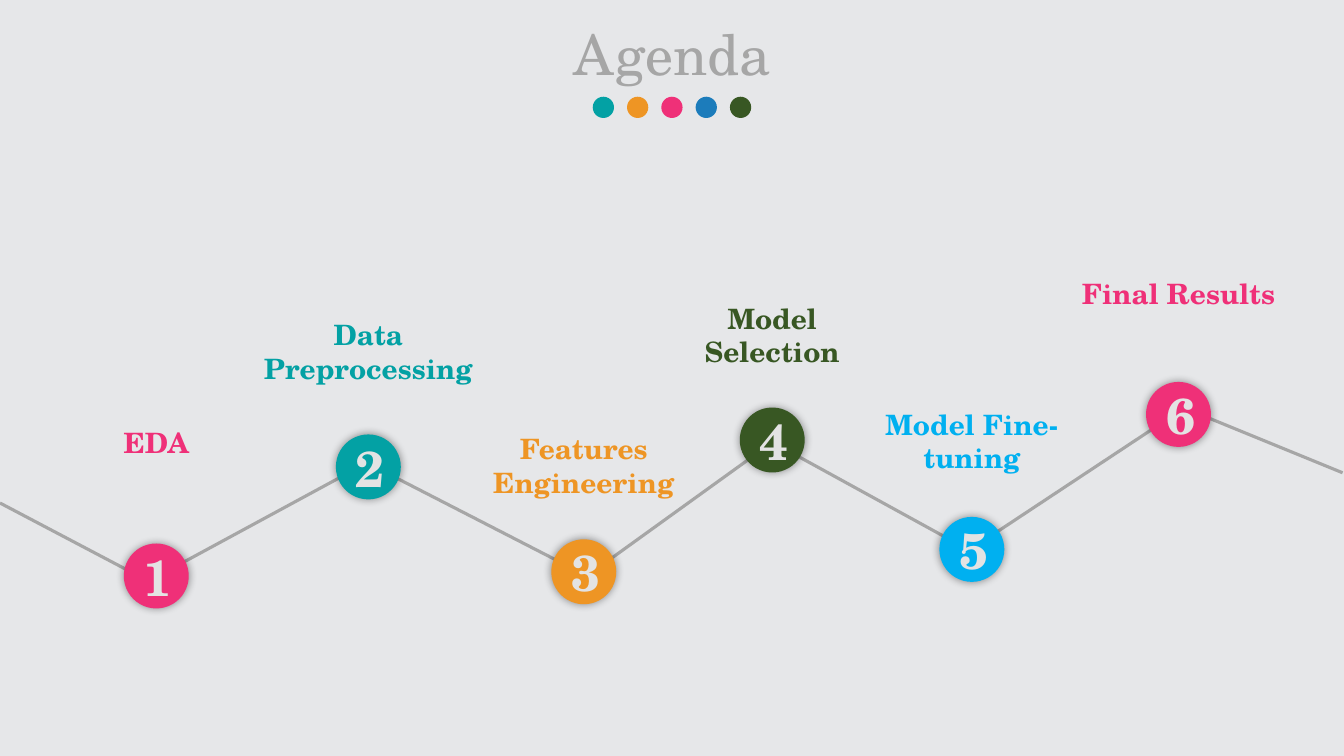
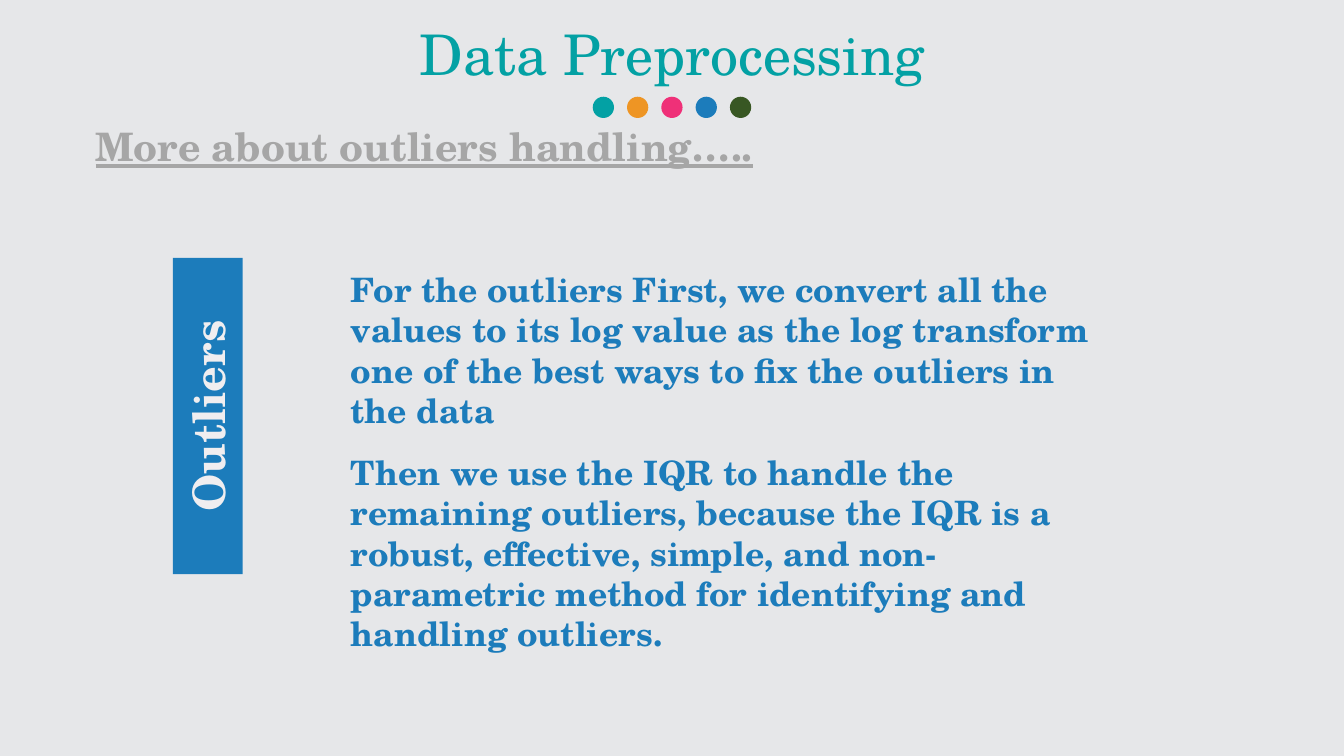
import dataclasses

import pptx
import pptx.dml.color
import pptx.enum.shapes
import pptx.enum.text
import pptx.oxml
import pptx.oxml.ns
import pptx.util

Pt = pptx.util.Pt
Align = pptx.enum.text.PP_ALIGN
Shape = pptx.enum.shapes.MSO_SHAPE


@dataclasses.dataclass(frozen=True)
class Theme:
    # Colours
    background: str = "E6E7E9"
    teal: str = "03A1A4"
    orange: str = "EE9524"
    pink: str = "EF3078"
    blue: str = "1C7CBB"
    green: str = "385723"
    sky: str = "00B0F0"
    grey: str = "A6A6A6"
    number: str = "E3E3E3"
    bar_text: str = "F0EEF0"
    # Type
    font: str = "TeX Gyre Schola"
    title: int = 40
    node: int = 36
    bar: int = 32
    heading: int = 28
    body: int = 24
    label: int = 20


THEME = Theme()
WIDTH, HEIGHT = 960, 540
NODE_SIZE = 46.4
LABEL_WIDTH = 168

# Label, colour, centre of the node, top of the label
STEPS = [
    ("EDA", THEME.pink, 111.6, 411.4, 300.2),
    ("Data Preprocessing", THEME.teal, 263.1, 333.5, 223.2),
    ("Features Engineering", THEME.orange, 417, 408.4, 304.6),
    ("Model Selection", THEME.green, 551.6, 314.3, 211.7),
    ("Model Fine-tuning", THEME.sky, 694.2, 392.4, 287.3),
    ("Final Results", THEME.pink, 841.8, 296, 193.7),
]

# Ends of the road's stretches, tucked under the nodes
ROAD = [
    (0, 359.3, 106.6, 415.4),
    (117.4, 409, 257, 333.4),
    (280, 339.8, 414.7, 409),
    (422.6, 409, 546.5, 319.7),
    (549.4, 314.6, 691.2, 392.4),
    (704.2, 385.2, 835.9, 298.1),
    (856.8, 295.9, 959, 337.7),
]

OUTLIER_NOTES = [
    "For the outliers First, we convert all the values to its log value as "
    "the log transform one of the best ways to fix the outliers in the data",
    "Then we use the IQR to handle the remaining outliers, because the IQR is "
    "a robust, effective, simple, and non-parametric method for identifying "
    "and handling outliers.",
]


def rgb(colour):
    return pptx.dml.color.RGBColor.from_string(colour)


def place(item, left, top, width, height):
    item.left, item.top = Pt(left), Pt(top)
    item.width, item.height = Pt(width), Pt(height)


def style(para, text, size, colour, bold=True, align=Align.CENTER):
    para.text = text
    para.alignment = align
    for span in para.runs:
        span.font.name = THEME.font
        span.font.size = Pt(size)
        span.font.bold = bold
        span.font.color.rgb = rgb(colour)


def add_solid(page, kind, left, top, width, height, colour):
    shape = page.shapes.add_shape(kind, Pt(left), Pt(top), Pt(width), Pt(height))
    shape.shadow.inherit = False
    shape.fill.solid()
    shape.fill.fore_color.rgb = rgb(colour)
    shape.line.fill.background()
    return shape


def add_text(page, left, top, width, height, text, size, colour, align=Align.CENTER):
    box = page.shapes.add_textbox(Pt(left), Pt(top), Pt(width), Pt(height))
    box.text_frame.word_wrap = True
    para = box.text_frame.paragraphs[0]
    style(para, text, size, colour, align=align)
    return para


def add_page(deck, layout, title, colour):
    page = deck.slides.add_slide(layout)
    heading = page.shapes.title
    place(heading, 193.7, 10, 573, 55.4)
    heading.text_frame.auto_size = pptx.enum.text.MSO_AUTO_SIZE.NONE
    style(heading.text_frame.paragraphs[0], title, THEME.title, colour, bold=False)

    # Row of dots, centred under the title
    dots = [THEME.teal, THEME.orange, THEME.pink, THEME.blue, THEME.green]
    size, pitch = 15.2, 24.5
    first = (WIDTH - size - pitch * (len(dots) - 1)) / 2
    for index, dot in enumerate(dots):
        add_solid(page, Shape.OVAL, first + index * pitch, 69.1, size, size, dot)
    return page


def add_road(page, x1, y1, x2, y2):
    line = page.shapes.add_connector(
        pptx.enum.shapes.MSO_CONNECTOR.STRAIGHT, Pt(x1), Pt(y1), Pt(x2), Pt(y2))
    line.line.color.rgb = rgb(THEME.grey)
    line.line.width = Pt(2.25)
    properties = line._element.spPr
    properties.append(pptx.oxml.parse_xml(
        f"<a:effectLst {pptx.oxml.ns.nsdecls('a')}/>"))


def add_glow(shape):
    effects = shape._element.spPr.find(pptx.oxml.ns.qn("a:effectLst"))
    effects.append(pptx.oxml.parse_xml(
        f'<a:outerShdw {pptx.oxml.ns.nsdecls("a")} blurRad="{Pt(6)}" '
        'algn="ctr" rotWithShape="0"><a:srgbClr val="000000">'
        '<a:alpha val="40000"/></a:srgbClr></a:outerShdw>'))


def add_step(page, number, label, colour, x, y, label_top):
    node = add_solid(page, Shape.OVAL, x - NODE_SIZE / 2, y - NODE_SIZE / 2,
                     NODE_SIZE, NODE_SIZE, colour)
    add_glow(node)
    frame = node.text_frame
    frame.margin_left = Pt(3)
    frame.margin_right = frame.margin_top = frame.margin_bottom = 0
    style(frame.paragraphs[0], str(number), THEME.node, THEME.number)
    add_text(page, x - LABEL_WIDTH / 2, label_top, LABEL_WIDTH, 31.5,
             label, THEME.label, colour)


def fill_body(body, texts):
    place(body, 243.4, 188.6, 543, 255)
    frame = body.text_frame
    frame.auto_size = pptx.enum.text.MSO_AUTO_SIZE.NONE
    frame.vertical_anchor = pptx.enum.text.MSO_ANCHOR.TOP
    frame.text = "\n".join(texts)
    for index, (para, text) in enumerate(zip(frame.paragraphs, texts)):
        style(para, text, THEME.body, THEME.blue, align=Align.LEFT)
        para.space_before = Pt(15.5 if index else 0)
        # Plain paragraphs: no bullet, no hanging indent
        properties = para._p.get_or_add_pPr()
        properties.set("marL", "0")
        properties.set("indent", "0")
        properties.append(pptx.oxml.parse_xml(
            f"<a:buNone {pptx.oxml.ns.nsdecls('a')}/>"))


def build_agenda(deck):
    page = add_page(deck, deck.slide_layouts[5], "Agenda", THEME.grey)
    for stretch in ROAD:
        add_road(page, *stretch)
    for number, step in enumerate(STEPS, start=1):
        add_step(page, number, *step)


def build_outliers(deck):
    page = add_page(deck, deck.slide_layouts[1], "Data Preprocessing", THEME.teal)
    subtitle = add_text(page, 61.2, 67, 840, 52.6, "More about outliers handling…..",
                        THEME.heading, THEME.grey, Align.LEFT)
    subtitle.line_spacing = 1.5
    subtitle.runs[0].font.underline = True

    # Upright bar
    bar = add_solid(page, Shape.RECTANGLE, 35.4, 272.2, 226, 49.8, THEME.blue)
    bar.rotation = 270
    style(bar.text_frame.paragraphs[0], "Outliers", THEME.bar, THEME.bar_text)

    fill_body(page.placeholders[1], OUTLIER_NOTES)


def main():
    deck = pptx.Presentation()
    deck.slide_width, deck.slide_height = Pt(WIDTH), Pt(HEIGHT)
    backdrop = deck.slide_master.background.fill
    backdrop.solid()
    backdrop.fore_color.rgb = rgb(THEME.background)
    build_agenda(deck)
    build_outliers(deck)
    deck.save("out.pptx")


if __name__ == "__main__":
    main()
